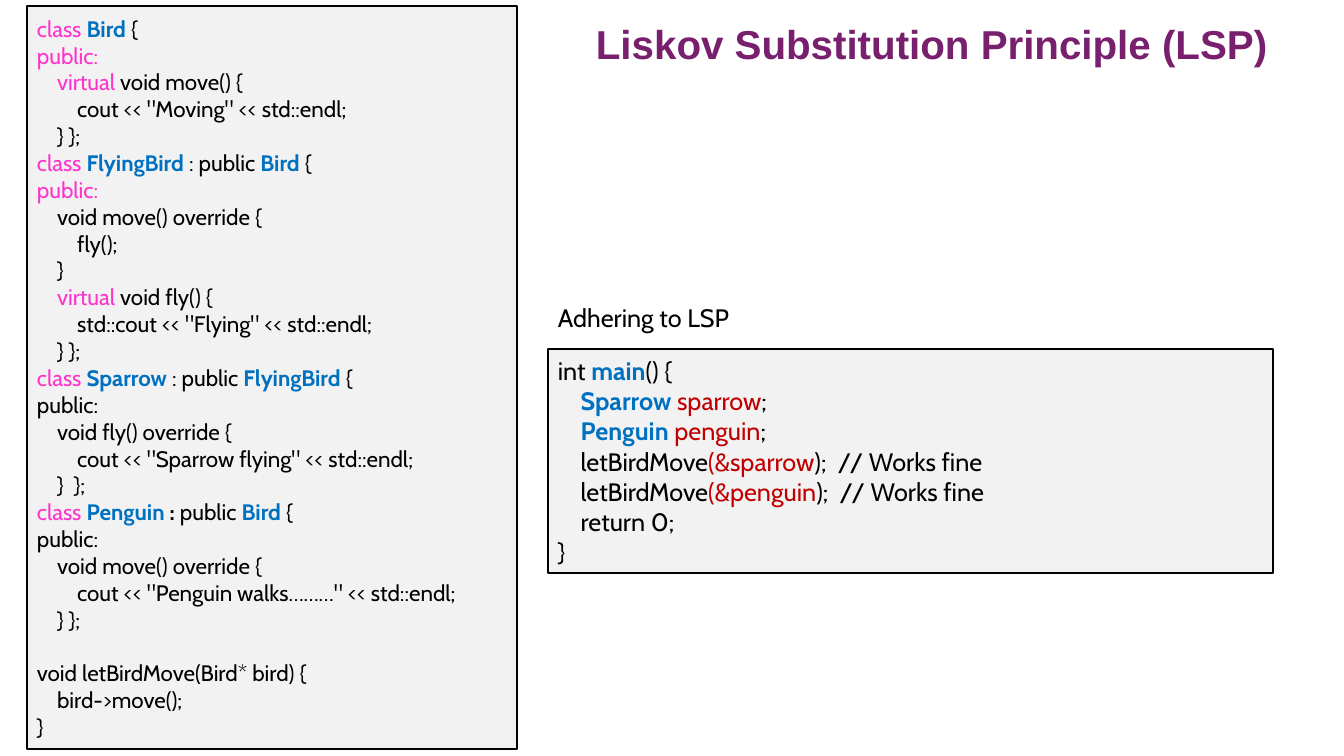
from collections import namedtuple
from pptx import Presentation
from pptx.dml.color import RGBColor
from pptx.enum.shapes import MSO_SHAPE
from pptx.enum.text import MSO_ANCHOR, PP_ALIGN
from pptx.util import Emu, Pt

TITLE = "Liskov Substitution Principle (LSP)"
CAPTION = "Adhering to LSP"

CLASSES = [
    (0, [("keyword", "class "), ("type", "Bird "), ("plain", "{")]),
    (0, [("keyword", "public:")]),
    (1, [("keyword", "virtual "), ("plain", "void move() {")]),
    (2, [("plain", 'cout << "Moving" << std::endl;')]),
    (1, [("plain", "} };")]),
    (0, [("keyword", "class "), ("type", "FlyingBird "), ("plain", ": public "),
         ("type", "Bird"), ("plain", " {")]),
    (0, [("keyword", "public:")]),
    (1, [("plain", "void move() override {")]),
    (2, [("plain", "fly();")]),
    (1, [("plain", "}")]),
    (1, [("keyword", "virtual "), ("plain", "void fly() {")]),
    (2, [("plain", 'std::cout << "Flying" << std::endl;')]),
    (1, [("plain", "} };")]),
    (0, [("keyword", "class "), ("type", "Sparrow "), ("plain", ": public "),
         ("type", "FlyingBird "), ("plain", "{")]),
    (0, [("plain", "public:")]),
    (1, [("plain", "void fly() override {")]),
    (2, [("plain", 'cout << "Sparrow flying" << std::endl;')]),
    (1, [("plain", "}  };")]),
    (0, [("keyword", "class "), ("type", "Penguin"), ("strong", " :"),
         ("plain", " public "), ("type", "Bird "), ("plain", "{")]),
    (0, [("plain", "public:")]),
    (1, [("plain", "void move() override {")]),
    (2, [("plain", 'cout << "Penguin walks………" << std::endl;')]),
    (1, [("plain", "} };")]),
]
FUNCTION = [
    (0, [("plain", "void letBirdMove(Bird* bird) {")]),
    (1, [("plain", "bird->move();")]),
    (0, [("plain", "}")]),
]
MAIN = [
    (0, [("plain", "int "), ("type", "main"), ("plain", "() {")]),
    (1, [("type", "Sparrow "), ("value", "sparrow"), ("plain", ";")]),
    (1, [("type", "Penguin "), ("value", "penguin"), ("plain", ";")]),
    (1, [("plain", "letBirdMove"), ("value", "(&sparrow"), ("plain", ");  // Works fine")]),
    (1, [("plain", "letBirdMove"), ("value", "(&penguin"), ("plain", ");  // Works fine")]),
    (1, [("plain", "return 0;")]),
    (0, [("plain", "}")]),
]

Style = namedtuple("Style", "color bold font", defaults=("Cabin",))
Theme = namedtuple("Theme", "styles panel border border_pt title_pt class_pt main_pt")
THEME = Theme(
    styles={
        "title": Style("78206E", True, "Arial"),
        "plain": Style("000000", False),
        "strong": Style("000000", True),
        "keyword": Style("FF33CC", False),
        "type": Style("0070C0", True),
        "value": Style("C00000", False),
    },
    panel="F2F2F2", border="000000", border_pt=1.5,
    title_pt=28.8, class_pt=16, main_pt=18,
)

TITLE_BOX = (586, 14, 700, 58)
CLASS_BOX = (27, 6, 490, 743)
CAPTION_BOX = (548, 297, 725, 40)
MAIN_BOX = (548, 349, 725, 224)
INDENT_EM = 0.9
LINE_EM = 1.2


def px(n):
    return Emu(round(n * 914400 / 100.8))


def rgb(value):
    return RGBColor.from_string(value)


def write(tf, lines, size):
    tf.word_wrap = True
    tf.vertical_anchor = MSO_ANCHOR.MIDDLE
    for i, (level, runs) in enumerate(lines):
        p = tf.paragraphs[0] if i == 0 else tf.add_paragraph()
        p.alignment = PP_ALIGN.LEFT
        pPr = p._p.get_or_add_pPr()
        pPr.set("marL", str(int(Pt(level * INDENT_EM * size))))
        pPr.set("indent", "0")
        for name, text in runs:
            style = THEME.styles[name]
            r = p.add_run()
            r.text = text
            r.font.name = style.font
            r.font.size = Pt(size)
            r.font.bold = style.bold
            r.font.color.rgb = rgb(style.color)


def add_label(s, box, text, style, size):
    tf = s.shapes.add_textbox(*map(px, box)).text_frame
    write(tf, [(0, [(style, text)])], size)


def add_panel(s, box, lines, size):
    sp = s.shapes.add_shape(MSO_SHAPE.RECTANGLE, *map(px, box))
    sp.shadow.inherit = False
    sp.fill.solid()
    sp.fill.fore_color.rgb = rgb(THEME.panel)
    sp.line.color.rgb = rgb(THEME.border)
    sp.line.width = Pt(THEME.border_pt)
    write(sp.text_frame, lines, size)
    return sp.text_frame


def main():
    prs = Presentation()
    prs.slide_width, prs.slide_height = px(1344), px(756)
    s = prs.slides.add_slide(prs.slide_layouts[6])
    add_label(s, TITLE_BOX, TITLE, "title", THEME.title_pt)
    tf = add_panel(s, CLASS_BOX, CLASSES + FUNCTION, THEME.class_pt)
    tf.paragraphs[len(CLASSES)].space_before = Pt(LINE_EM * THEME.class_pt)
    add_panel(s, MAIN_BOX, MAIN, THEME.main_pt)
    add_label(s, CAPTION_BOX, CAPTION, "plain", THEME.main_pt)
    prs.save("out.pptx")


if __name__ == "__main__":
    main()
